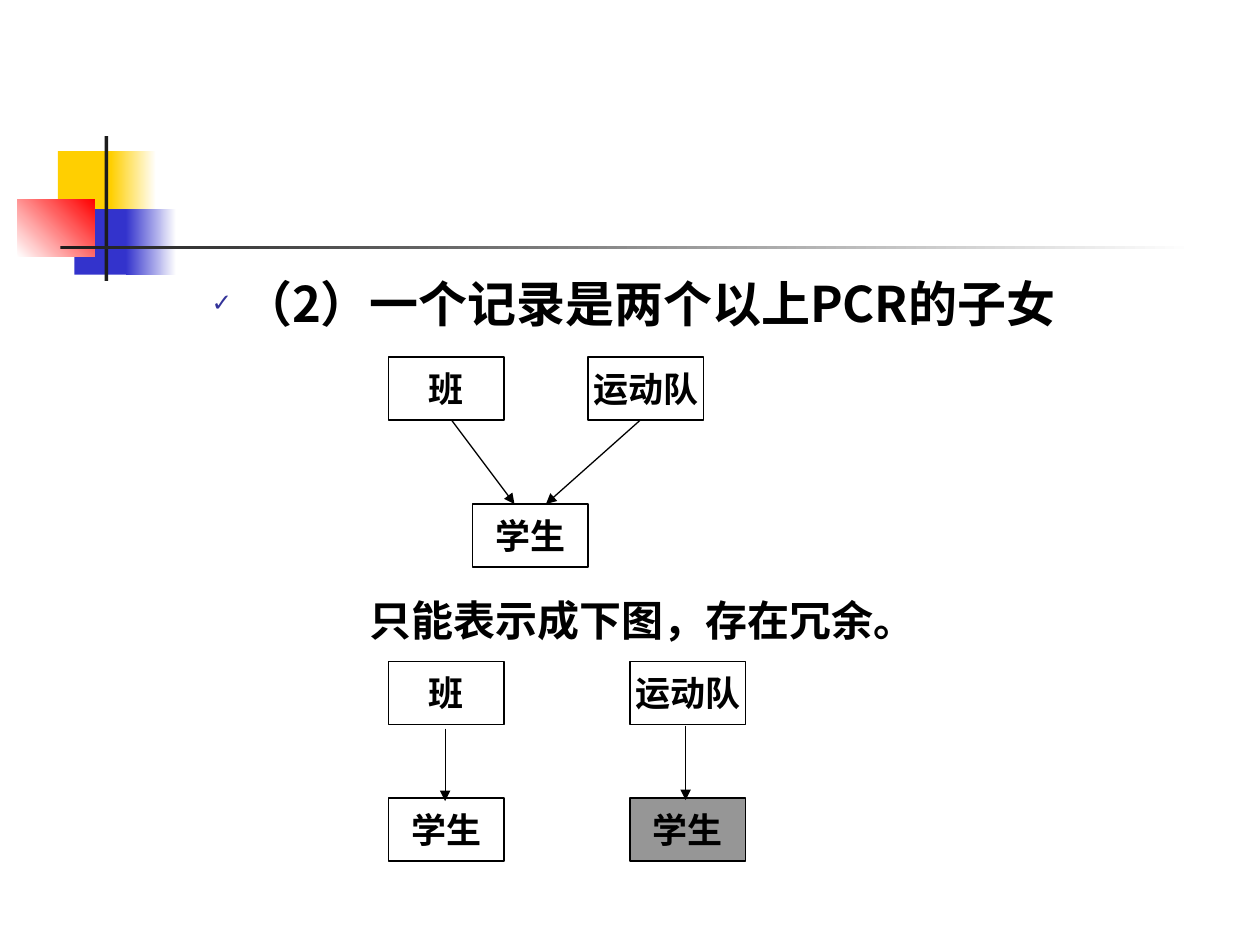
from pptx import Presentation
from pptx.dml.color import RGBColor
from pptx.enum.shapes import MSO_CONNECTOR as CONN, MSO_SHAPE as SHAPE
from pptx.enum.text import MSO_ANCHOR as ANCHOR, MSO_AUTO_SIZE as FIT, PP_ALIGN as ALIGN
from pptx.oxml.ns import qn
from pptx.util import Inches, Pt
from lxml.etree import SubElement

THEME = {
    "ink": "000000", "bar": "1C1C1C", "yellow": "FFCF01", "blue": "3333CC",
    "red": "FF0000", "white": "FFFFFF", "bullet": "333399", "grey": "969696",
    "latin": "Cabin", "cjk": "Noto Sans CJK SC",
    "heading": 28, "note": 24, "label": 20, "line": 0.75,
}
CELL = Inches(1) / 12  # the diagram sits on a grid of twelve cells to the inch
BOX_W, BOX_H = 11, 6


def rgb(name):
    return RGBColor.from_string(THEME[name])


def write(p, text, size, face="latin"):
    r = p.add_run()
    r.text = text
    style = {"name": THEME[face], "size": Pt(THEME[size]), "bold": True}
    for key, value in style.items():
        setattr(r.font, key, value)
    r.font.color.rgb = rgb("ink")
    SubElement(r.font._element, qn("a:ea"), typeface=THEME["cjk"])


prs = Presentation()
prs.slide_width, prs.slide_height = Inches(10), Inches(7.5)
s = prs.slides.add_slide(prs.slide_layouts[1])
title = s.shapes.title._element
title.getparent().remove(title)

# Corner ornament: left, top, width, height, colours, gradient angle
ornament = [
    (0.46, 1.2, 0.48, 0.52, ["yellow"], 0),
    (0.88, 1.2, 0.36, 0.52, ["yellow", "white"], 0),
    (0.59, 1.66, 0.46, 0.52, ["blue"], 0),
    (1, 1.66, 0.4, 0.52, ["blue", "white"], 0),
    (0.14, 1.58, 0.61, 0.46, ["white", "red"], 45),
    (0.83, 1.08, 0.03, 1.15, ["bar"], 0),
    (0.48, 1.95, 9, 0.03, ["bar", "white"], 0),
]
for *place, colours, angle in ornament:
    sp = s.shapes.add_shape(SHAPE.RECTANGLE, *map(Inches, place))
    sp.shadow.inherit = False
    sp.line.fill.background()
    if len(colours) == 1:
        sp.fill.solid()
        sp.fill.fore_color.rgb = rgb(colours[0])
    else:
        sp.fill.gradient()
        sp.fill.gradient_angle = angle
        for position, (stop, colour) in enumerate(zip(sp.fill.gradient_stops, colours)):
            stop.position = position
            stop.color.rgb = rgb(colour)

# Heading with a check-mark bullet
body = s.placeholders[1]
frame = {"left": 0.58, "top": 2.17, "width": 8.5, "height": 0.54}
for key, value in frame.items():
    setattr(body, key, Inches(value))
tf = body.text_frame
tf.auto_size = FIT.NONE
p = tf.paragraphs[0]
for key, value in {"level": 2, "line_spacing": 0.9, "space_before": Pt(0)}.items():
    setattr(p, key, value)
pPr = p._p.get_or_add_pPr()
pPr.set("marL", str(Inches(1.25)))
pPr.set("indent", str(-Inches(0.25)))
SubElement(SubElement(pPr, qn("a:buClr")), qn("a:srgbClr"), val=THEME["bullet"])
SubElement(pPr, qn("a:buSzPct"), val="50000")
SubElement(pPr, qn("a:buChar"), char="✓")
write(p, "（2）一个记录是两个以上PCR的子女", "heading", "cjk")

# Record boxes: column, row, label, fill
boxes = [
    (45, 48, "学生", None), (37, 34, "班", None), (56, 34, "运动队", None),
    (37, 76, "学生", None), (37, 63, "班", None),
    (60, 76, "学生", "grey"), (60, 63, "运动队", None),
]
for col, row, label, fill in boxes:
    place = [round(n * CELL) for n in (col, row, BOX_W, BOX_H)]
    sp = s.shapes.add_shape(SHAPE.RECTANGLE, *place)
    sp.shadow.inherit = False
    if fill:
        sp.fill.solid()
        sp.fill.fore_color.rgb = rgb(fill)
    else:
        sp.fill.background()
    sp.line.color.rgb = rgb("ink")
    sp.line.width = Pt(THEME["line"])
    tf = sp.text_frame
    tf.word_wrap = False
    tf.vertical_anchor = ANCHOR.MIDDLE
    tf.paragraphs[0].alignment = ALIGN.CENTER
    write(tf.paragraphs[0], label, "label")

# Arrows from parent to child: start column and row, end column and row
arrows = [
    (43, 40, 49, 48), (61, 40, 52, 48),
    (42.4, 69.4, 42.4, 76.3), (65.3, 69.1, 65.3, 76.2),
]
for ends in arrows:
    line = s.shapes.add_connector(CONN.STRAIGHT, *(round(n * CELL) for n in ends))
    line.line.color.rgb = rgb("ink")
    line.line.width = Pt(THEME["line"])
    SubElement(line.line._get_or_add_ln(), qn("a:tailEnd"), type="triangle")
    SubElement(line._element.spPr, qn("a:effectLst"))

# Remark between the two diagrams
note = s.shapes.add_textbox(*(round(n * CELL) for n in (34, 56, 63, 6)))
tf = note.text_frame
tf.word_wrap = True
tf.auto_size = FIT.SHAPE_TO_FIT_TEXT
write(tf.paragraphs[0], "只能表示成下图，存在冗余。", "note")

prs.save("out.pptx")
